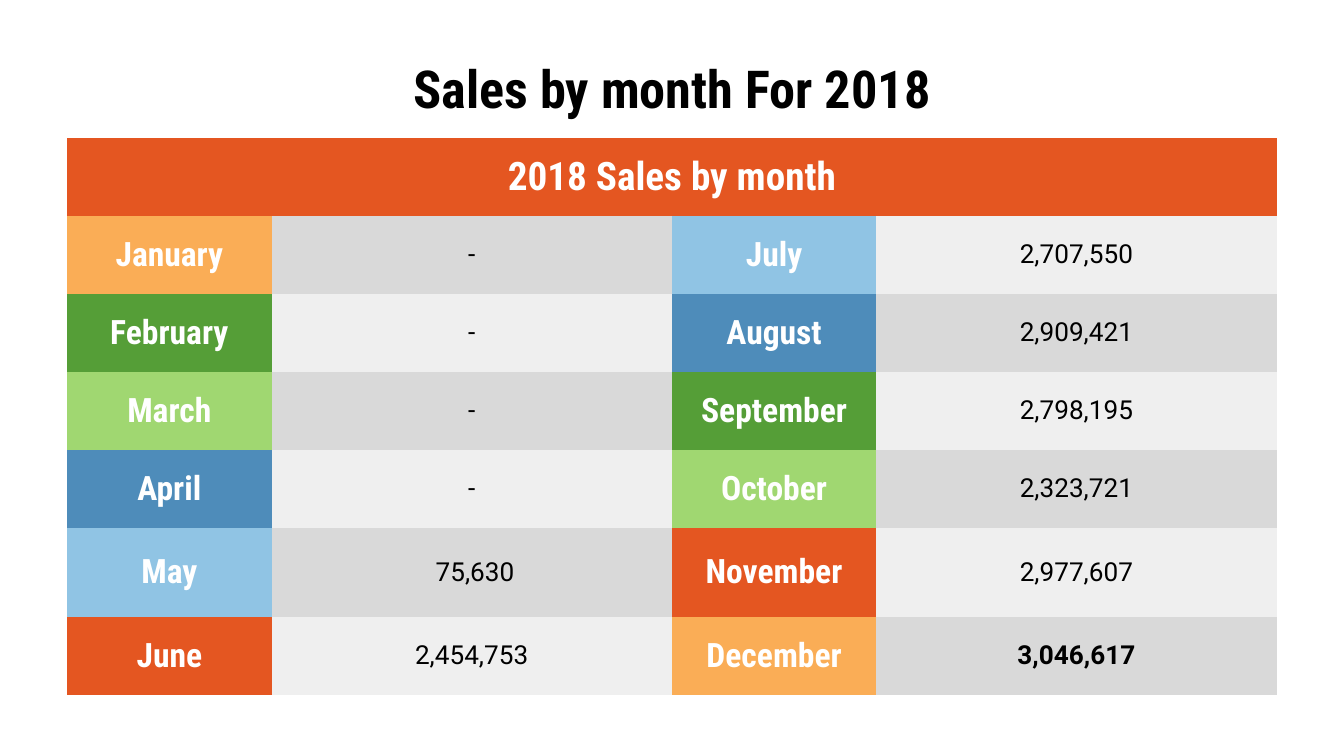
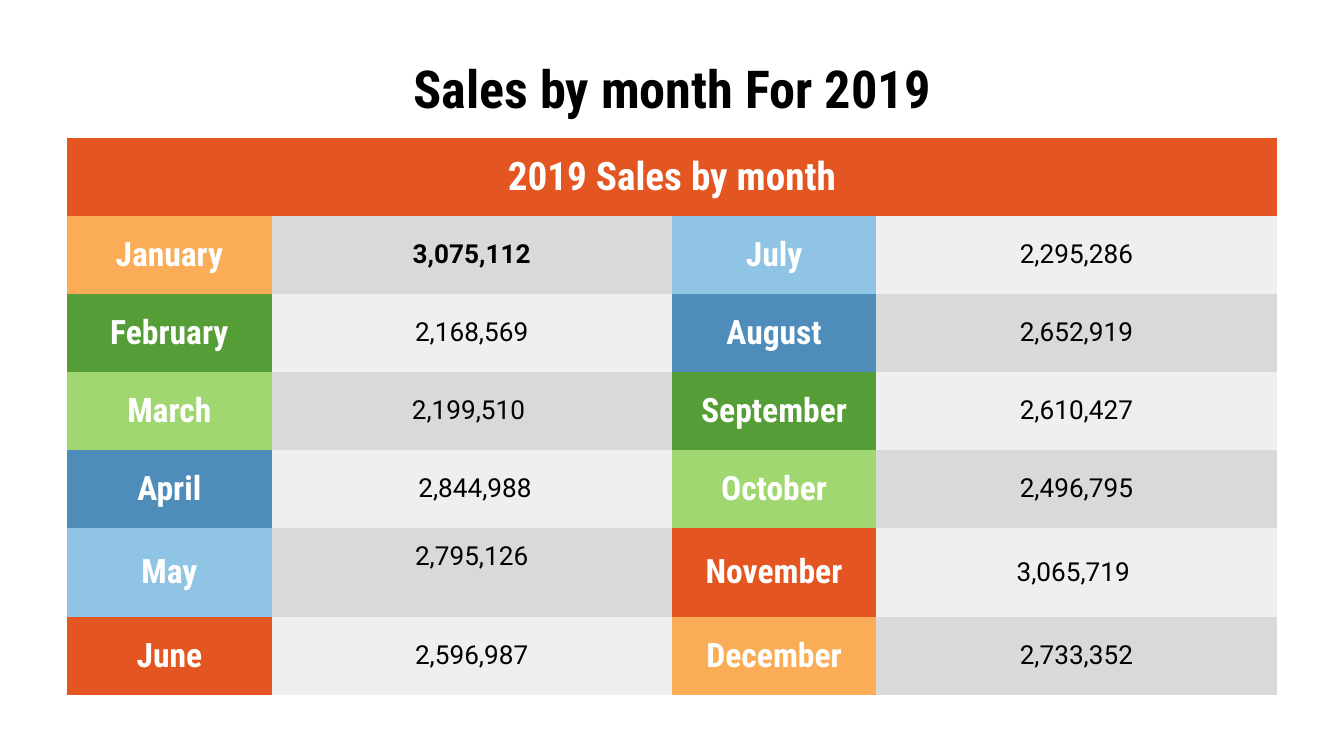
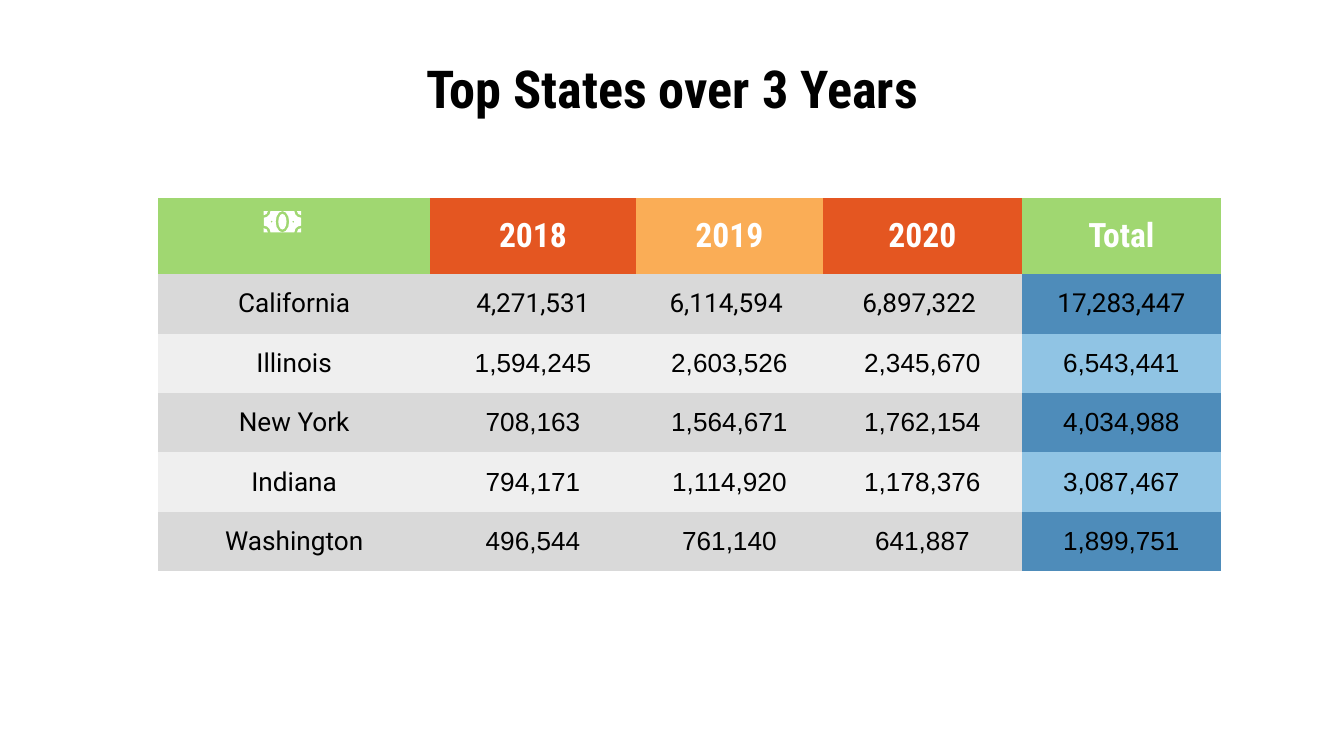
from math import cos, radians, sin

from pptx import Presentation
from pptx.dml.color import RGBColor
from pptx.enum.text import MSO_ANCHOR, MSO_AUTO_SIZE, PP_ALIGN
from pptx.util import Pt

ORANGE, AMBER, GREEN, LIME = "E45621", "FAAD56", "559E37", "A0D771"
BLUE, SKY, GREY, PALE = "4E8CBA", "90C4E4", "D9D9D9", "EFEFEF"
WHITE, BLACK = "FFFFFF", "000000"
HEADING, BODY, FIGURES = "Roboto Condensed", "Roboto", "Arial"
NO_GRID = "{2D5ABB26-0587-4C30-8999-92F81FD0307C}"

FIRST_HALF = [("January", AMBER), ("February", GREEN), ("March", LIME),
              ("April", BLUE), ("May", SKY), ("June", ORANGE)]
SECOND_HALF = [("July", SKY), ("August", BLUE), ("September", GREEN),
               ("October", LIME), ("November", ORANGE), ("December", AMBER)]
SALES = {
    2018: ["-", "-", "-", "-", " 75,630", "2,454,753",
           "2,707,550", "2,909,421", "2,798,195", "2,323,721", "2,977,607", "3,046,617"],
    2019: ["3,075,112", "2,168,569", "2,199,510 ", " 2,844,988", "2,795,126", "2,596,987",
           "2,295,286", "2,652,919", "2,610,427", "2,496,795", "3,065,719 ", "2,733,352"],
}
YEAR_HEADS = [("2018", ORANGE), ("2019", AMBER), ("2020", ORANGE), ("Total", LIME)]
STATES = [
    ("California", "4,271,531", "6,114,594 ", "6,897,322 ", "17,283,447"),
    ("Illinois", "1,594,245", "2,603,526", "2,345,670", "6,543,441"),
    ("New York", "708,163", "1,564,671", "1,762,154", "4,034,988"),
    ("Indiana", "794,171", "1,114,920", "1,178,376", "3,087,467"),
    ("Washington", "496,544", "761,140", "641,887", "1,899,751"),
]


def rgb(color):
    return RGBColor.from_string(color)


def write(frame, text, size=14, font=BODY, color=BLACK, bold=False):
    paragraph = frame.paragraphs[0]
    paragraph.alignment = PP_ALIGN.CENTER
    run = paragraph.add_run()
    run.text = text
    run.font.size, run.font.name, run.font.bold = Pt(size), font, bold
    run.font.color.rgb = rgb(color)


def arc(x, y, rx, ry, start, end, steps=3):
    angles = [radians(start + (end - start) * i / steps) for i in range(steps + 1)]
    return [(x + rx * cos(a), y + ry * sin(a)) for a in angles]


class Deck:
    """Holds the shared style and the slide being filled."""

    def __init__(self):
        self.deck = Presentation()
        self.deck.slide_width, self.deck.slide_height = Pt(720), Pt(405)

    def slide(self, heading):
        self.page = self.deck.slides.add_slide(self.deck.slide_layouts[5])
        title = self.page.shapes.title
        title.left, title.top, title.width, title.height = Pt(36), Pt(32.4), Pt(648), Pt(29.5)
        frame = title.text_frame
        frame.auto_size = MSO_AUTO_SIZE.NONE
        frame.vertical_anchor = MSO_ANCHOR.MIDDLE
        frame.margin_left = frame.margin_right = frame.margin_top = frame.margin_bottom = Pt(7.2)
        write(frame, heading, size=28, font=HEADING, bold=True)

    def table(self, left, top, widths, heights):
        holder = self.page.shapes.add_table(len(heights), len(widths), Pt(left), Pt(top),
                                            Pt(sum(widths)), Pt(sum(heights)))
        table = holder.table
        table.first_row = table.horz_banding = False
        holder.element.xpath(".//a:tableStyleId")[0].text = NO_GRID
        for column, width in zip(table.columns, widths):
            column.width = Pt(width)
        for row, height in zip(table.rows, heights):
            row.height = Pt(height)
        return table

    def cell(self, cell, fill, text="", anchor=MSO_ANCHOR.MIDDLE, **style):
        cell.fill.solid()
        cell.fill.fore_color.rgb = rgb(fill)
        cell.margin_left = cell.margin_right = cell.margin_top = cell.margin_bottom = Pt(7.2)
        cell.vertical_anchor = anchor
        if text:
            write(cell.text_frame, text, **style)

    def head(self, cell, fill, text, size=18):
        self.cell(cell, fill, text, size=size, font=HEADING, color=WHITE, bold=True)

    def outline(self, x, y, *loops):
        loops = [[(Pt(x + dx), Pt(y + dy)) for dx, dy in loop] for loop in loops]
        builder = self.page.shapes.build_freeform(*loops[0][0])
        builder.add_line_segments(loops[0][1:], close=True)
        for loop in loops[1:]:
            builder.move_to(*loop[0])
            builder.add_line_segments(loop[1:], close=True)
        shape = builder.convert_to_shape()
        shape.shadow.inherit = False
        shape.fill.solid()
        shape.fill.fore_color.rgb = rgb(WHITE)
        shape.line.fill.background()

    def banknote(self, x, y, half_width=10, half_height=5.7):
        self.outline(x, y, arc(0, 0, 2.2, 4.2, 0, 330, 11))
        notch, corner = 3.6, 2.2
        for side in (-1, 1):
            edge = side * half_width
            body = (arc(edge, -half_height, -side * notch, notch, 0, 90)
                    + arc(edge, half_height, -side * notch, notch, -90, 0)
                    + arc(0, 0, side * notch, half_height, 90, -90, 6))
            self.outline(x, y, body, arc(side * 5.8, 0, 0.6, 0.6, 0, 270))
            for end in (-1, 1):
                tip = (edge, end * half_height)
                self.outline(x, y, [tip] + arc(*tip, -side * corner, -end * corner, 0, 90, 2))

    def monthly_sales(self, year):
        self.slide(f"Sales by month For {year}")
        table = self.table(36, 74, [109.5, 214.5] * 2, [41.75] * 5 + [47.75, 41.75])
        table.cell(0, 0).merge(table.cell(0, 3))
        self.head(table.cell(0, 0), ORANGE, f"{year} Sales by month", size=21)
        best = max(SALES[year], key=lambda sales: int(sales.replace(",", "").replace("-", "0")))
        for i, ((month, color), sales) in enumerate(zip(FIRST_HALF + SECOND_HALF, SALES[year])):
            half, row = divmod(i, 6)
            raised = (year, month) == (2019, "May")
            self.head(table.cell(row + 1, half * 2), color, month)
            self.cell(table.cell(row + 1, half * 2 + 1), (GREY, PALE)[(row + half) % 2], sales,
                      anchor=MSO_ANCHOR.TOP if raised else MSO_ANCHOR.MIDDLE,
                      bold=sales == best)

    def top_states(self):
        self.slide("Top States over 3 Years")
        table = self.table(84.8, 106.1, [145.6, 110.3, 100.2, 106.6, 106.6],
                           [40.8] + [31.85] * 5)
        self.cell(table.cell(0, 0), LIME)
        for column, (label, color) in enumerate(YEAR_HEADS, 1):
            self.head(table.cell(0, column), color, label)
        for row, values in enumerate(STATES):
            for column, value in enumerate(values):
                fills = (BLUE, SKY) if column == 4 else (GREY, PALE)
                self.cell(table.cell(row + 1, column), fills[row % 2], value,
                          font=FIGURES if row and column else BODY)
        self.banknote(151.3, 118.8)


def main():
    deck = Deck()
    for year in SALES:
        deck.monthly_sales(year)
    deck.top_states()
    deck.deck.save("out.pptx")


if __name__ == "__main__":
    main()
